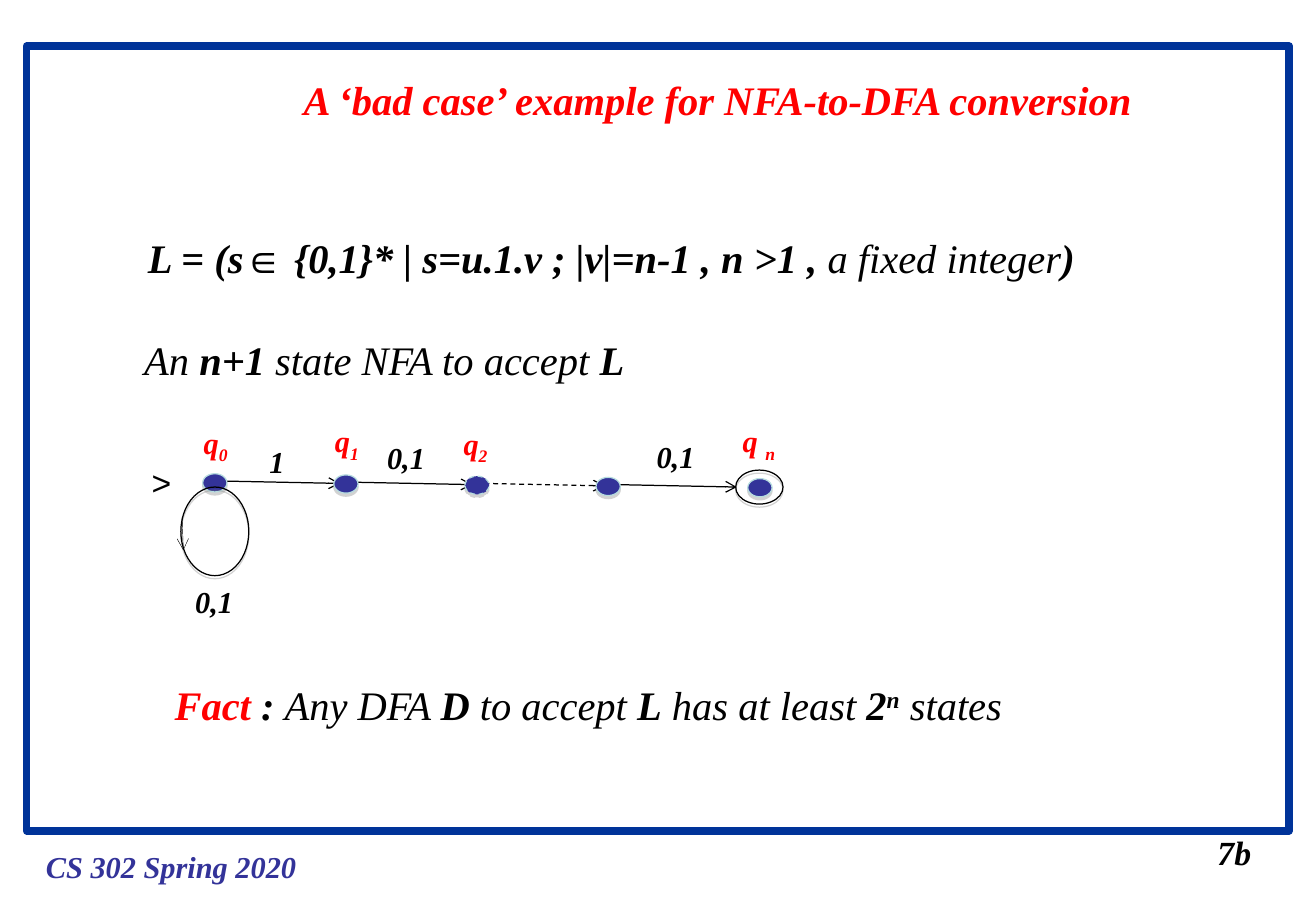
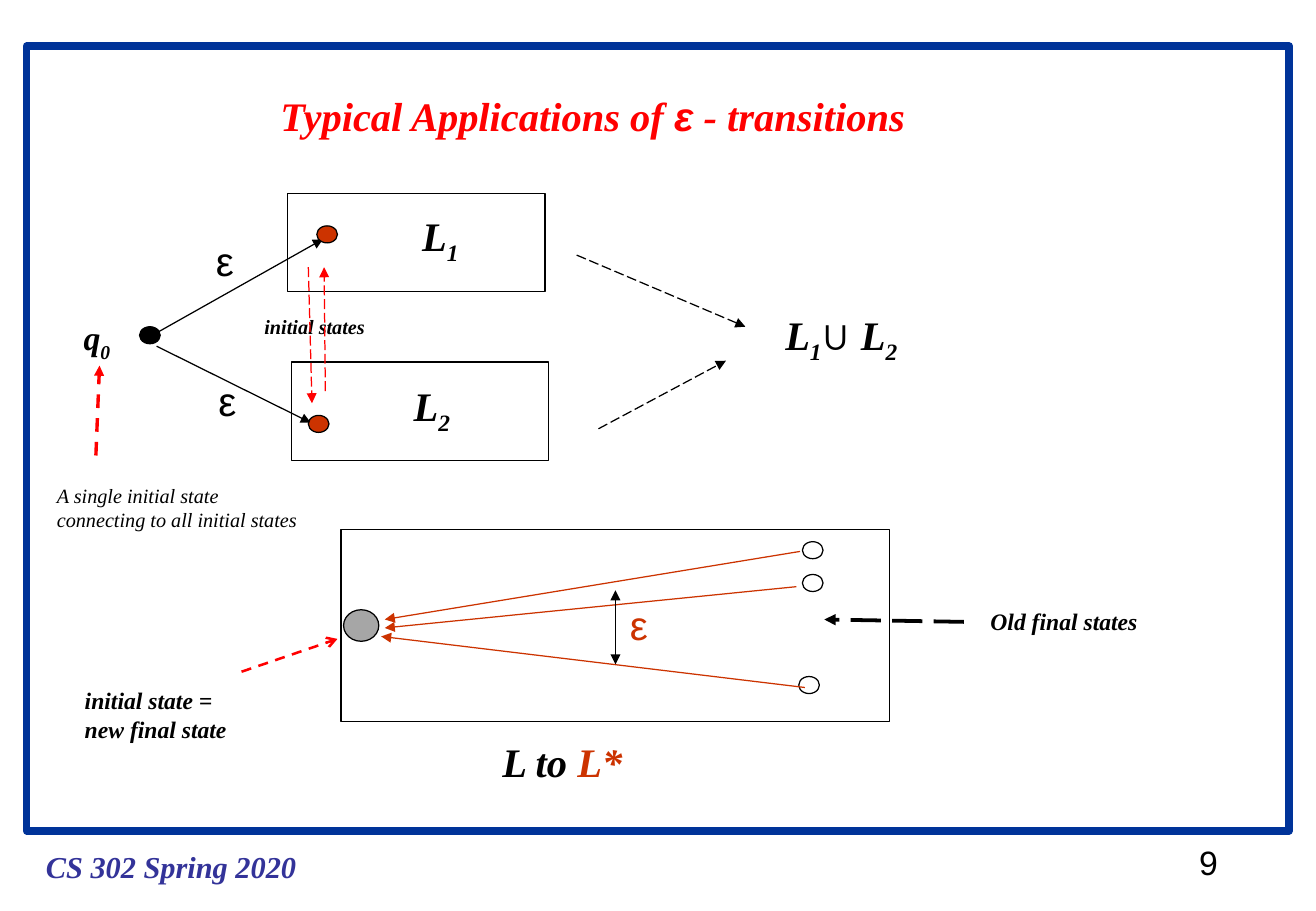
from lxml import etree
from pptx import Presentation
from pptx import util as u
from pptx.dml.color import RGBColor
from pptx.enum import dml, shapes, text
from pptx.oxml.ns import qn

PX = 9144  # one px is a hundredth of an inch
SERIF, SANS = "Times New Roman", "Arial"
BLACK = RGBColor(0x00, 0x00, 0x00)
WHITE = RGBColor(0xFF, 0xFF, 0xFF)
RED = RGBColor(0xFF, 0x00, 0x00)
RUST = RGBColor(0xCC, 0x33, 0x00)
GRAY = RGBColor(0xA6, 0xA6, 0xA6)
NAVY = RGBColor(0x33, 0x33, 0x99)
FRAME_BLUE = RGBColor(0x00, 0x33, 0x99)
PALE_TEAL = RGBColor(0xB6, 0xDC, 0xDF)
DASH = dml.MSO_LINE.DASH
LONG_DASH = dml.MSO_LINE.LONG_DASH
LINE = shapes.MSO_CONNECTOR.STRAIGHT
RECT = shapes.MSO_SHAPE.RECTANGLE
OVAL = shapes.MSO_SHAPE.OVAL

# Span formats that differ from the rest of their paragraph
SUB = {"baseline": -25000}
SUPER = {"baseline": 30000}
PLAIN = {"bold": False}
BOLD = {"bold": True}
SYMBOL = {"font": SANS}


def write(page, at, *lines, title=False, wrap=False, spacing=None, **style):
    """Write lines, each a list of strings or (string, format) spans."""
    box = page.shapes.title if title else page.shapes.add_textbox(0, 0, 0, 0)
    box.left, box.top, box.width, box.height = [n * PX for n in at]
    frame = box.text_frame
    frame.word_wrap = wrap
    frame.auto_size = text.MSO_AUTO_SIZE.SHAPE_TO_FIT_TEXT
    frame.vertical_anchor = text.MSO_ANCHOR.TOP
    for i, line in enumerate(lines):
        para = frame.add_paragraph() if i else frame.paragraphs[0]
        para.alignment = text.PP_ALIGN.LEFT
        if spacing:
            para.line_spacing = spacing
        for part in line:
            words, extra = (part, {}) if isinstance(part, str) else part
            look = {"size": 24, "color": BLACK, "font": SERIF, "bold": True,
                    "italic": True, **style, **extra}
            span = para.add_run()
            span.text = words
            span.font.size = u.Pt(look["size"])
            span.font.name = look["font"]
            span.font.bold = look["bold"]
            span.font.italic = look["italic"]
            span.font.color.rgb = look["color"]
            if "baseline" in look:
                span.font._element.set("baseline", str(look["baseline"]))
    return box


def draw(page, kind, at, color=BLACK, width=0.75, dash=None, fill=None,
         shadow=False, head=None, tail=None):
    """Draw a line from (x1, y1, x2, y2) or a shape from (x, y, w, h)."""
    lengths = [n * PX for n in at]
    if kind is LINE:  # by identity: LINE and RECT share one number
        item = page.shapes.add_connector(kind, *lengths)
    else:
        item = page.shapes.add_shape(kind, *lengths)
        if fill is None:
            item.fill.background()
        else:
            item.fill.solid()
            item.fill.fore_color.rgb = fill
    item.line.color.rgb = color
    item.line.width = u.Pt(width)
    if dash:
        item.line.dash_style = dash
    properties = item.element.spPr
    outline = properties.find(qn("a:ln"))
    for tag, arrow in (("a:headEnd", head), ("a:tailEnd", tail)):
        if arrow:
            etree.SubElement(outline, qn(tag), type=arrow)
    effects = etree.SubElement(properties, qn("a:effectLst"))
    if shadow:
        outer = etree.SubElement(effects, qn("a:outerShdw"), blurRad="0",
                                 dist="22860", dir="5400000", rotWithShape="0")
        tint = etree.SubElement(outer, qn("a:srgbClr"), val="808080")
        etree.SubElement(tint, qn("a:alpha"), val="35000")
    return item


deck = Presentation()
deck.slide_width, deck.slide_height = 1084 * PX, 750 * PX
layout = deck.slide_layouts[5]
nfa_page, epsilon_page = [deck.slides.add_slide(layout) for _ in range(2)]

# Frame and footer, moved to the layout that both slides use
for shared in (
    draw(nfa_page, RECT, (22, 38, 1040, 646), FRAME_BLUE, 4.5),
    write(nfa_page, (28, 693, 226, 40), ["CS 302 Spring 2020"], size=18, color=NAVY),
):
    layout.shapes.element.append(shared.element)

# Slide 1: title, page number and statements
page = nfa_page
write(page, (240, 57, 714, 50), ["A ‘bad case’ example for NFA-to-DFA conversion"],
      title=True, color=RED)
write(page, (993, 680, 48, 44), ["7b"], size=20)
write(page, (112, 167, 791, 70),
      ["L = (s", ("∈", SYMBOL), " {0,1}* | s=u.1.v ; |v|=n-1 , n >1 , ",
       ("a fixed integer", PLAIN), ")"], spacing=1.5)
write(page, (109, 251, 420, 70),
      ["An ", ("n+1", BOLD), " state NFA to accept ", ("L", BOLD)],
      spacing=1.5, bold=False)
write(page, (134, 535, 706, 70),
      [("Fact", {"color": RED}), " : ", ("Any DFA ", PLAIN), "D",
       (" to accept ", PLAIN), "L", (" has at least ", PLAIN), "2", ("n", SUPER),
       (" states", PLAIN)], spacing=1.5)

# Slide 1: chain of states, dashed where states are skipped
for i in range(4):
    dash = DASH if i == 2 else None
    draw(page, LINE, (181 + 109 * i, 396 + i, 280 + 109 * i, 398 + i),
         dash=dash, tail="arrow")
    draw(page, OVAL, (167 + 108 * i, 390 + i, 20, 15), PALE_TEAL,
         dash=dash, fill=NAVY, shadow=True)
draw(page, OVAL, (606, 387, 39, 28), shadow=True)
draw(page, OVAL, (616, 394, 20, 15), PALE_TEAL, fill=NAVY, shadow=True)

# Slide 1: loop on the first state
draw(page, OVAL, (149, 401, 56, 73), shadow=True)
draw(page, LINE, (150, 426, 151, 453), width=0.25, tail="arrow")

# Slide 1: labels of states and transitions
write(page, (115, 375, 36, 44), [">"], size=20, font=SANS, bold=False, italic=False)
for at, symbols, wrap in (
    ((151, 475, 51, 40), "0,1", False),
    ((212, 360, 41, 40), "1", True),
    ((309, 357, 51, 40), "0,1", False),
    ((531, 356, 51, 40), "0,1", False),
):
    write(page, at, [symbols], size=18, wrap=wrap)
for at, name, index, wrap in (
    ((158, 344, 40, 44), "q", "0", False),
    ((266, 343, 51, 44), "q", "1", True),
    ((372, 345, 54, 44), "q", "2", True),
    ((602, 343, 47, 44), "q ", "n", False),
):
    write(page, at, [name, (index, SUB)], size=18, color=RED, wrap=wrap)

# Slide 2: title and page number
page = epsilon_page
write(page, (221, 70, 544, 50),
      ["Typical Applications of ", ("ε", SYMBOL), " - transitions"],
      title=True, color=RED)
write(page, (978, 688, 35, 44), ["9"], size=20, font=SANS, bold=False, italic=False)

# Slide 2: new initial state leading into both languages
for at in ((122, 278, 266, 197), (129, 285, 256, 348)):
    draw(page, LINE, at, tail="triangle")
for kind, at, fill in (
    (OVAL, (115, 269, 17, 14), BLACK),
    (OVAL, (254, 342, 17, 14), RUST),
    (OVAL, (261, 186, 17, 14), RUST),
    (RECT, (237, 159, 212, 81), None),
    (RECT, (240, 298, 212, 81), None),
    # Star construction
    (RECT, (281, 436, 452, 158), None),
    (OVAL, (283, 502, 29, 26), GRAY),
    (OVAL, (661, 446, 17, 14), WHITE),
    (OVAL, (661, 473, 17, 14), WHITE),
    (OVAL, (658, 557, 17, 14), WHITE),
):
    draw(page, kind, at, fill=fill)

# Slide 2: labels of the union
write(page, (59, 256, 47, 48), ["q", ("0", SUB)], size=20, wrap=True)
write(page, (338, 169, 50, 56), ["L", ("1", SUB)])
write(page, (331, 309, 50, 56), ["L", ("2", SUB)])
write(page, (637, 250, 115, 56),
      ["L", ("1", SUB), ("∪", SYMBOL), " L", ("2", SUB)])
write(page, (208, 254, 103, 30), ["initial states"], size=12)
write(page, (37, 393, 226, 50), ["A single initial state"],
      ["connecting to all initial states"], size=12, bold=False)
for at, color in (
    ((168, 189, 34, 50), BLACK),
    ((170, 305, 34, 50), BLACK),
    ((509, 489, 34, 50), RUST),
):
    write(page, at, ["ε"], color=color, font=SANS, bold=False, italic=False)

# Slide 2: dashed pointers, then arrows back to the initial state
for at, color, width, dash, tail in (
    ((475, 210, 614, 269), BLACK, 0.75, LONG_DASH, "triangle"),
    ((493, 353, 598, 297), BLACK, 0.75, LONG_DASH, "triangle"),
    ((268, 322, 267, 220), RED, 0.75, LONG_DASH, "triangle"),
    ((254, 220, 257, 332), RED, 0.75, LONG_DASH, "triangle"),
    ((79, 375, 82, 301), RED, 2, DASH, "triangle"),
    ((794, 512, 679, 510), BLACK, 2.25, LONG_DASH, "triangle"),
    ((199, 553, 278, 526), RED, 1.5, DASH, "arrow"),
    ((659, 454, 317, 510), RUST, 0.75, None, "triangle"),
    ((656, 483, 317, 517), RUST, 0.75, None, "triangle"),
    ((663, 566, 314, 524), RUST, 0.75, None, "triangle"),
):
    draw(page, LINE, at, color, width, dash, tail=tail)
draw(page, LINE, (507, 486, 507, 547), head="triangle", tail="triangle")

# Slide 2: labels of the star construction
write(page, (806, 495, 145, 34), ["Old final states"], size=14)
write(page, (404, 602, 120, 50), ["L to ", ("L*", {"color": RUST})])
write(page, (60, 560, 137, 57), ["initial state ="], ["new final state"], size=14)

deck.save("out.pptx")
